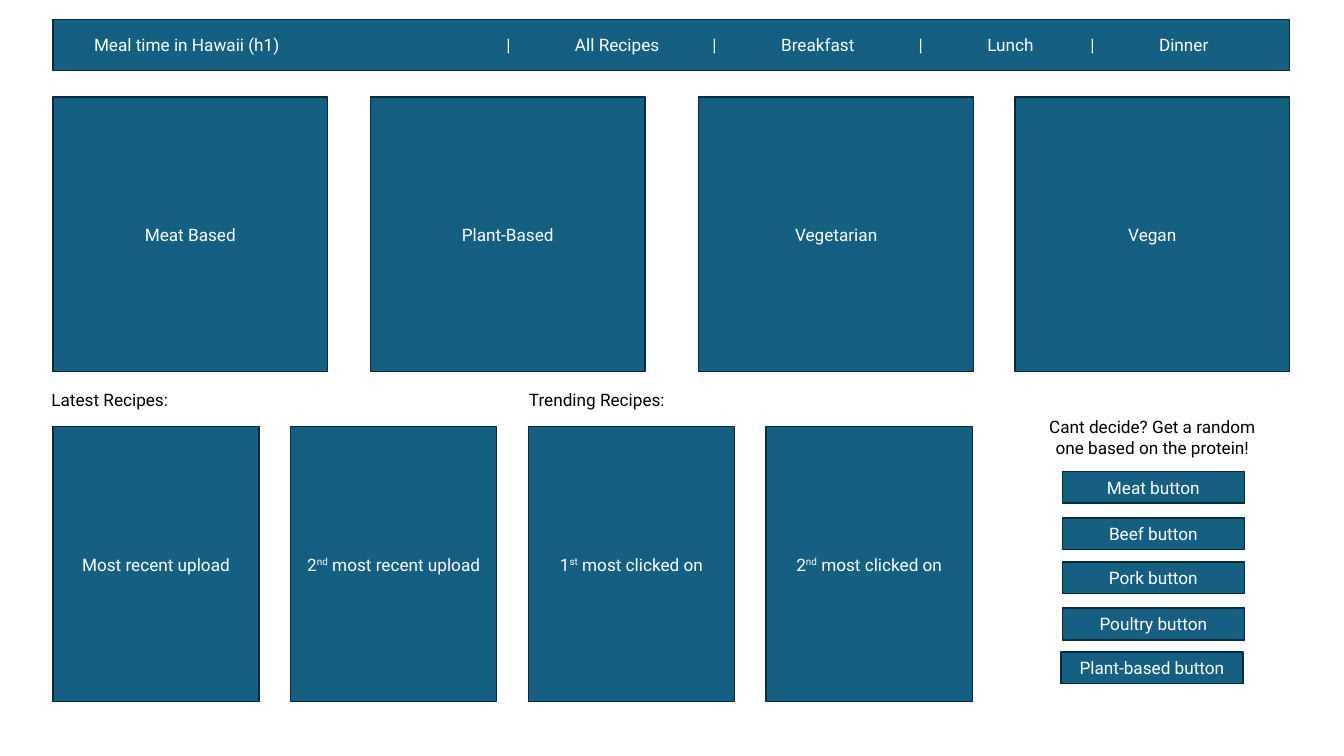
from lxml.etree import SubElement
from pptx import Presentation
from pptx.dml.color import RGBColor
from pptx.enum.shapes import MSO_SHAPE
from pptx.enum.text import MSO_ANCHOR, MSO_AUTO_SIZE, PP_ALIGN
from pptx.oxml.ns import qn
from pptx.util import Inches, Pt

FILL, OUTLINE, WHITE, BLACK = "156082", "092A39", "FFFFFF", "000000"
MARGIN = 0.77
CATEGORIES = [("Meat Based", 0.77), ("Plant-Based", 5.39), ("Vegetarian", 10.17), ("Vegan", 14.77)]
RECIPES = [
    ("Most recent upload",),
    ("2", "nd", " most recent upload"),
    ("1", "st", " most clicked on"),
    ("2", "nd", " most clicked on"),
]
BUTTONS = [
    ("Meat button", 15.46, 6.86),
    ("Beef button", 15.46, 7.54),
    ("Pork button", 15.46, 8.18),
    ("Poultry button", 15.46, 8.85),
    ("Plant-based button", 15.44, 9.49),
]
MENU = [
    ("Meal time in Hawaii (h1)", 0.5),
    ("|", 6.5), ("All Recipes", 7.5),
    ("|", 9.5), ("Breakfast", 10.5),
    ("|", 12.5), ("Lunch", 13.5),
    ("|", 15), ("Dinner", 16),
]


def color(value):
    return RGBColor.from_string(value)


def write(box, parts, text_color, align):
    para = box.text_frame.paragraphs[0]
    para.alignment = align
    para.font.name = "Roboto"
    para.font.size = Pt(18)
    para.font.color.rgb = color(text_color)
    for index, part in enumerate(parts):
        span = para.add_run()
        span.text = part
        if index == 1:
            span._r.get_or_add_rPr().set("baseline", "30000")
    return para


def add_panel(page, parts, left, top, width, height, align=PP_ALIGN.CENTER):
    box = page.shapes.add_shape(
        MSO_SHAPE.RECTANGLE, Inches(left), Inches(top), Inches(width), Inches(height))
    box.shadow.inherit = False
    box.fill.solid()
    box.fill.fore_color.rgb = color(FILL)
    box.line.color.rgb = color(OUTLINE)
    box.line.width = Pt(1.5)
    box.text_frame.word_wrap = True
    box.text_frame.vertical_anchor = MSO_ANCHOR.MIDDLE
    return write(box, parts, WHITE, align)


def add_label(page, text, left, top, width, height, align=PP_ALIGN.LEFT, wrap=False):
    box = page.shapes.add_textbox(Inches(left), Inches(top), Inches(width), Inches(height))
    box.text_frame.word_wrap = wrap
    box.text_frame.auto_size = MSO_AUTO_SIZE.SHAPE_TO_FIT_TEXT
    write(box, [text], BLACK, align)


def add_menu(page):
    text = "".join("\t" + item for item, _ in MENU)
    para = add_panel(page, [text], MARGIN, 0.28, 18, 0.75, PP_ALIGN.LEFT)
    properties = para._p.get_or_add_pPr()
    stops = SubElement(properties, qn("a:tabLst"))
    for _, position in MENU:
        SubElement(stops, qn("a:tab"), pos=str(Inches(position)), algn="l")
    properties.find(qn("a:defRPr")).addprevious(stops)


def main():
    deck = Presentation()
    deck.slide_width = Inches(19.56)
    deck.slide_height = Inches(11)
    page = deck.slides.add_slide(deck.slide_layouts[6])

    add_menu(page)
    for name, left in CATEGORIES:
        add_panel(page, [name], left, 1.41, 4, 4)

    add_label(page, "Latest Recipes:", 0.65, 5.61, 1.99, 0.4)
    add_label(page, "Trending Recipes:", 7.6, 5.61, 2.18, 0.4)
    for index, parts in enumerate(RECIPES):
        add_panel(page, parts, MARGIN + index * 3.46, 6.21, 3, 4)

    add_label(page, "Cant decide? Get a random one based on the protein!",
              15.15, 6.01, 3.24, 0.71, PP_ALIGN.CENTER, True)
    for name, left, top in BUTTONS:
        add_panel(page, [name], left, top, 2.65, 0.46)

    deck.save("out.pptx")


if __name__ == "__main__":
    main()
